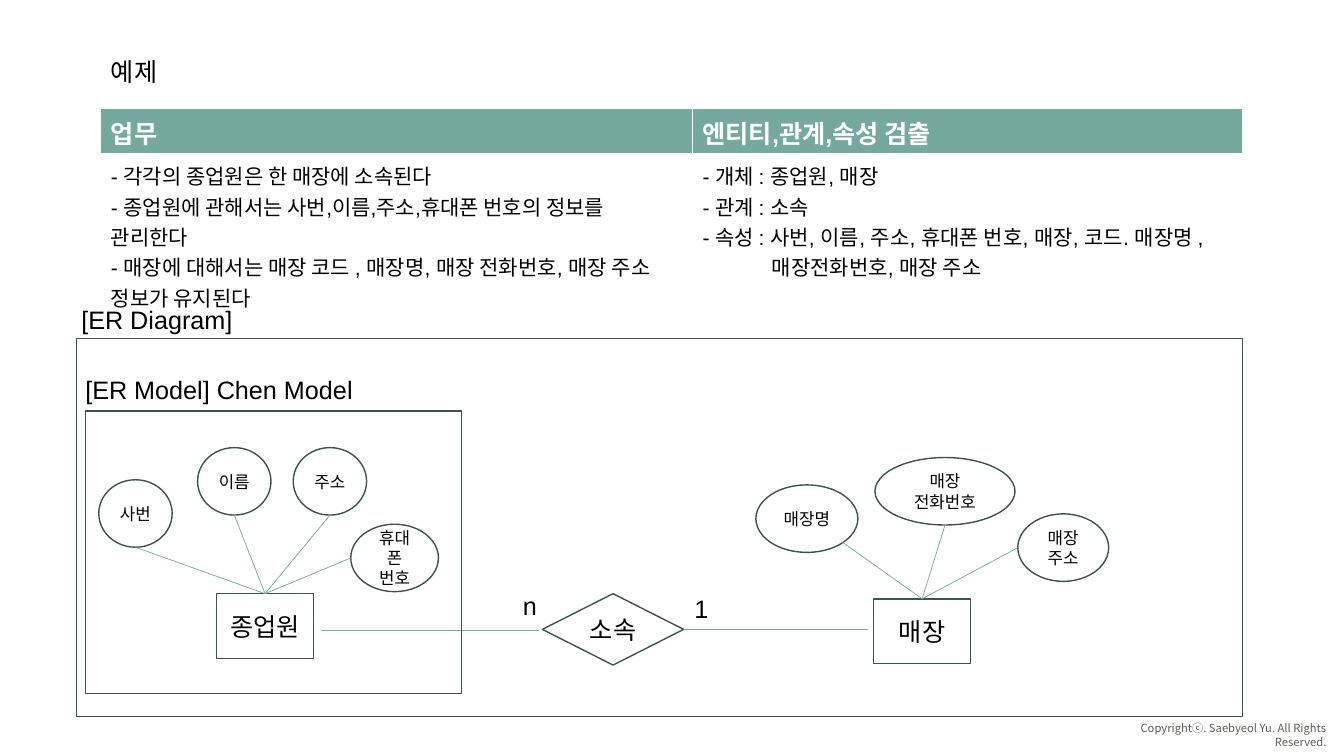
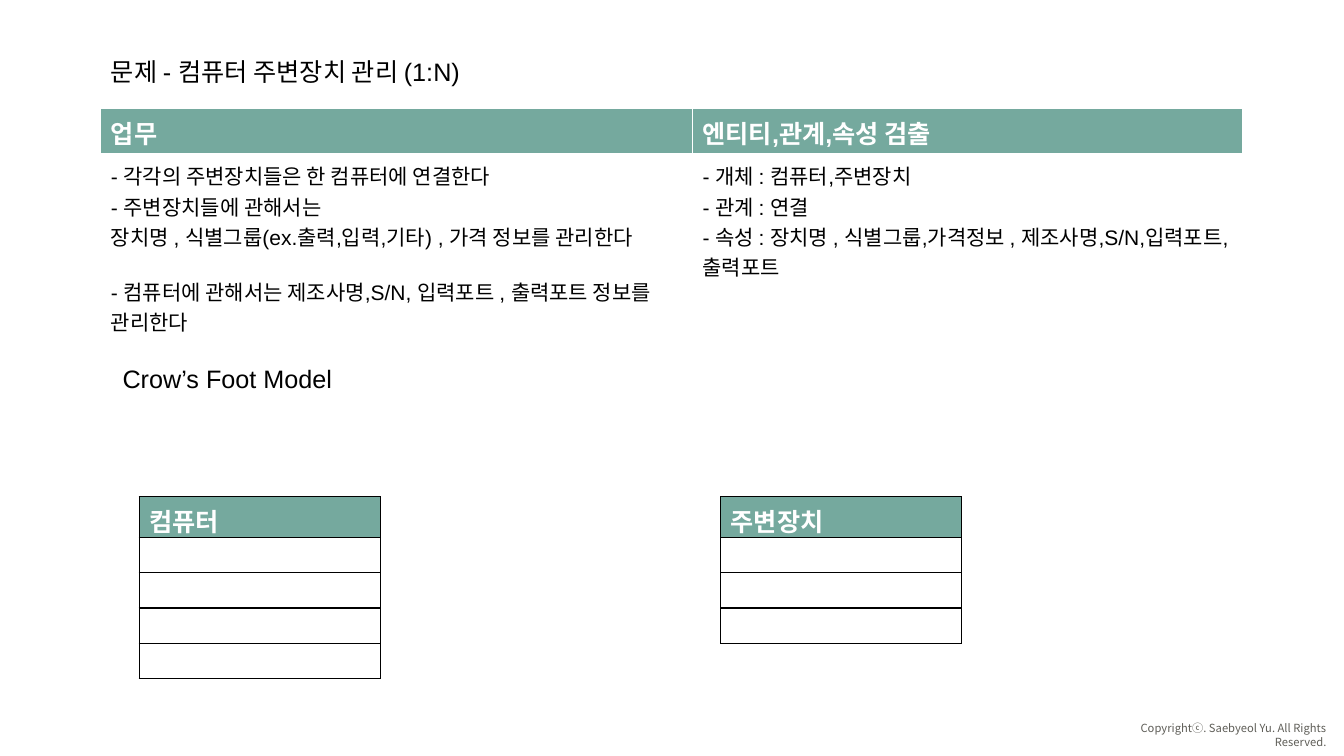
import dataclasses

import lxml.etree
import pptx
import pptx.dml.color
import pptx.enum.shapes
import pptx.enum.text
import pptx.oxml.ns
import pptx.util

Cm, Pt = pptx.util.Cm, pptx.util.Pt
RGB = pptx.dml.color.RGBColor
SHAPE = pptx.enum.shapes.MSO_SHAPE
ALIGN = pptx.enum.text.PP_ALIGN
ANCHOR = pptx.enum.text.MSO_ANCHOR
qn = pptx.oxml.ns.qn

GREEN = RGB(0x75, 0xA9, 0x9E)
DARK = RGB(0x3A, 0x54, 0x4E)
GRAY = RGB(0x5F, 0x5E, 0x58)
BLACK = RGB(0, 0, 0)
WHITE = RGB(0xFF, 0xFF, 0xFF)


@dataclasses.dataclass
class Line:
    text: str
    left: float = 0  # indent in cm
    gap: float = 0  # points before


FOOTER = "Copyrightⓒ. Saebyeol Yu. All Rights Reserved."
HEADS = ["업무", "엔티티,관계,속성 검출"]

STAFF = {
    "title": "예제",
    "cells": [
        [
            Line("- 각각의 종업원은 한 매장에 소속된다"),
            Line("- 종업원에 관해서는 사번,이름,주소,휴대폰 번호의 정보를 관리한다"),
            Line("- 매장에 대해서는 매장 코드 , 매장명, 매장 전화번호, 매장 주소 정보가 유지된다"),
        ],
        [
            Line("- 개체 : 종업원, 매장"),
            Line("- 관계 : 소속"),
            Line("- 속성 : 사번, 이름, 주소, 휴대폰 번호, 매장, 코드. 매장명 ,"),
            Line("매장전화번호, 매장 주소", left=1.75),
        ],
    ],
}
DEVICE = {
    "title": "문제 - 컴퓨터 주변장치 관리 (1:N)",
    "cells": [
        [
            Line("- 각각의 주변장치들은 한 컴퓨터에 연결한다"),
            Line("- 주변장치들에 관해서는"),
            Line("장치명 , 식별그룹(ex.출력,입력,기타) , 가격 정보를 관리한다"),
            Line("- 컴퓨터에 관해서는 제조사명,S/N, 입력포트 , 출력포트 정보를 관리한다", gap=17.5),
        ],
        [
            Line("- 개체 : 컴퓨터,주변장치"),
            Line("- 관계 : 연결"),
            Line("- 속성 : 장치명 , 식별그룹,가격정보 , 제조사명,S/N,입력포트, 출력포트"),
        ],
    ],
}

# Points on an oval, as shares of its width and height
BOTTOM, LEFT, CORNER = (0.5, 1), (0, 0.5), (0.85, 0.85)
TOP = (0.5, 0)
OVAL = 1.7  # height of every oval

# Entity, its left and top, then its attributes: text, left, top, width, link point
ENTITIES = [
    ("종업원", 5.46, 14.96, [
        ("사번", 2.49, 12.09, 1.85, BOTTOM),
        ("이름", 4.98, 11.28, 1.85, BOTTOM),
        ("주소", 7.39, 11.28, 1.85, BOTTOM),
        ("휴대폰 번호", 8.84, 13.21, 2.21, LEFT),
    ]),
    ("매장", 22.02, 15.09, [
        ("매장명", 19.05, 12.22, 2.57, CORNER),
        ("매장 전화번호", 22.05, 11.53, 3.53, BOTTOM),
        ("매장\n주소", 25.65, 12.95, 2.29, LEFT),
    ]),
]
LINKS = [((8.08, 15.88), (13.59, 15.88)), ((17.25, 15.85), (21.87, 15.85))]
FRAMES = [(2.16, 10.36, 9.47, 7.11), (1.93, 8.53, 29.39, 9.53)]
LABELS = [
    ("[ER Diagram]", 1.8, 7.54, 4.5),
    ("[ER Model] Chen Model", 1.9, 9.3, 7.42),
    ("n", 12.93, 14.76, 0.89),
    ("1", 17.25, 14.83, 0.86),
]
# Name, left, empty rows
GRIDS = [("컴퓨터", 3.51, 4), ("주변장치", 18.16, 3)]


def write(frame, lines, size, color=BLACK, bold=False, align=ALIGN.LEFT, font="Arial"):
    for i, line in enumerate(lines):
        para = frame.add_paragraph() if i else frame.paragraphs[0]
        para.alignment = align
        if line.left:
            para._p.get_or_add_pPr().set("marL", str(Cm(line.left)))
        if line.gap:
            para.space_before = Pt(line.gap)
        run = para.add_run()
        run.text = line.text
        run.font.name = font
        run.font.size = Pt(size)
        run.font.bold = bold
        run.font.color.rgb = color


def label(slide, text, x, y, w):
    frame = slide.shapes.add_textbox(Cm(x), Cm(y), Cm(w), Cm(1.02)).text_frame
    frame.word_wrap = False
    write(frame, [Line(text)], 18)


def outline(slide, kind, box, text="", size=18):
    """Add an unfilled shape with centred text."""
    shape = slide.shapes.add_shape(kind, *map(Cm, box))
    shape.shadow.inherit = False
    shape.fill.background()
    shape.line.color.rgb = DARK
    shape.line.width = Pt(1)
    if text:
        shape.text_frame.vertical_anchor = ANCHOR.MIDDLE
        lines = [Line(part) for part in text.split("\n")]
        write(shape.text_frame, lines, size, align=ALIGN.CENTER)


def link(slide, start, end):
    kind = pptx.enum.shapes.MSO_CONNECTOR.STRAIGHT
    line = slide.shapes.add_connector(kind, *map(Cm, start + end))
    line.line.color.rgb = GREEN
    line.line.width = Pt(0.5)
    lxml.etree.SubElement(line._element.spPr, qn("a:effectLst"))


def spot(box, share):
    """Point at a share of a box's width and height."""
    x, y, w, h = box
    return x + w * share[0], y + h * share[1]


def border(cell, color, widths):
    """Set the left, right, top and bottom lines of a cell."""
    props = cell._tc.get_or_add_tcPr()
    for i, (side, width) in enumerate(zip("LRTB", widths)):
        edge = lxml.etree.Element(qn("a:ln" + side), w=str(Pt(width)))
        fill = lxml.etree.SubElement(edge, qn("a:solidFill"))
        lxml.etree.SubElement(fill, qn("a:srgbClr"), val=str(color))
        props.insert(i, edge)


def grid(slide, x, y, cols, rows, heads, edge, base):
    """Add a table with a green head row; base is the width of the line below it."""
    frame = slide.shapes.add_table(
        len(rows), len(cols), Cm(x), Cm(y), Cm(sum(cols)), Cm(sum(rows)))
    table = frame.table
    table.first_row = table.horz_banding = False
    for col, width in zip(table.columns, cols):
        col.width = Cm(width)
    for r, height in enumerate(rows):
        table.rows[r].height = Cm(height)
        for c in range(len(cols)):
            cell = table.cell(r, c)
            if r:
                cell.fill.background()
                end = cell.text_frame.paragraphs[0]._p.get_or_add_endParaRPr()
                end.set("sz", "1200")
            else:
                cell.fill.solid()
                cell.fill.fore_color.rgb = GREEN
                write(cell.text_frame, [Line(heads[c])], 18, WHITE, True)
            border(cell, edge, (1, 1, 1, 1 if r else base))
    return frame


def start(deck, data):
    """Add a slide with its title, task table and footer."""
    slide = deck.slides.add_slide(deck.slide_layouts[5])
    title = slide.shapes.title
    title.left, title.top, title.width, title.height = map(Cm, (2.54, 1.3, 28.78, 1.02))
    title.text_frame.vertical_anchor = ANCHOR.TOP
    title.text_frame.auto_size = pptx.enum.text.MSO_AUTO_SIZE.NONE
    write(title.text_frame, [Line(data["title"])], 18)

    tasks = grid(slide, 2.54, 2.74, (14.91, 13.87), (0.33, 3.3, 0.33), HEADS, WHITE, 3)
    for c, lines in enumerate(data["cells"]):
        write(tasks.table.cell(1, c).text_frame, lines, 15)
    tasks.height = Cm(5.97)

    foot = slide.shapes.add_textbox(Cm(27.4), Cm(18.06), Cm(6.28), Cm(0.61)).text_frame
    foot.word_wrap = True
    write(foot, [Line(FOOTER)], 8, GRAY, align=ALIGN.RIGHT, font="Noto Sans CJK KR")
    return slide


def chen(deck):
    slide = start(deck, STAFF)
    for name, x, y, traits in ENTITIES:
        box = (x, y, 2.44, 1.63)
        outline(slide, SHAPE.RECTANGLE, box, name)
        for text, left, top, width, share in traits:
            oval = (left, top, width, OVAL)
            outline(slide, SHAPE.OVAL, oval, text, 12)
            link(slide, spot(oval, share), spot(box, TOP))
    outline(slide, SHAPE.DIAMOND, (13.67, 14.96, 3.56, 1.8), "소속")
    for ends in LINKS:
        link(slide, *ends)
    for box in FRAMES:
        outline(slide, SHAPE.RECTANGLE, box)
    for item in LABELS:
        label(slide, *item)


def crow(deck):
    slide = start(deck, DEVICE)
    label(slide, "Crow’s Foot Model", 2.84, 9.02, 6.07)
    for name, x, count in GRIDS:
        grid(slide, x, 12.52, [6.07], [1.02] + [0.89] * count, [name], BLACK, 1)


def main():
    deck = pptx.Presentation()
    deck.slide_width, deck.slide_height = Cm(33.87), Cm(19.05)
    chen(deck)
    crow(deck)
    deck.save("out.pptx")


if __name__ == "__main__":
    main()
